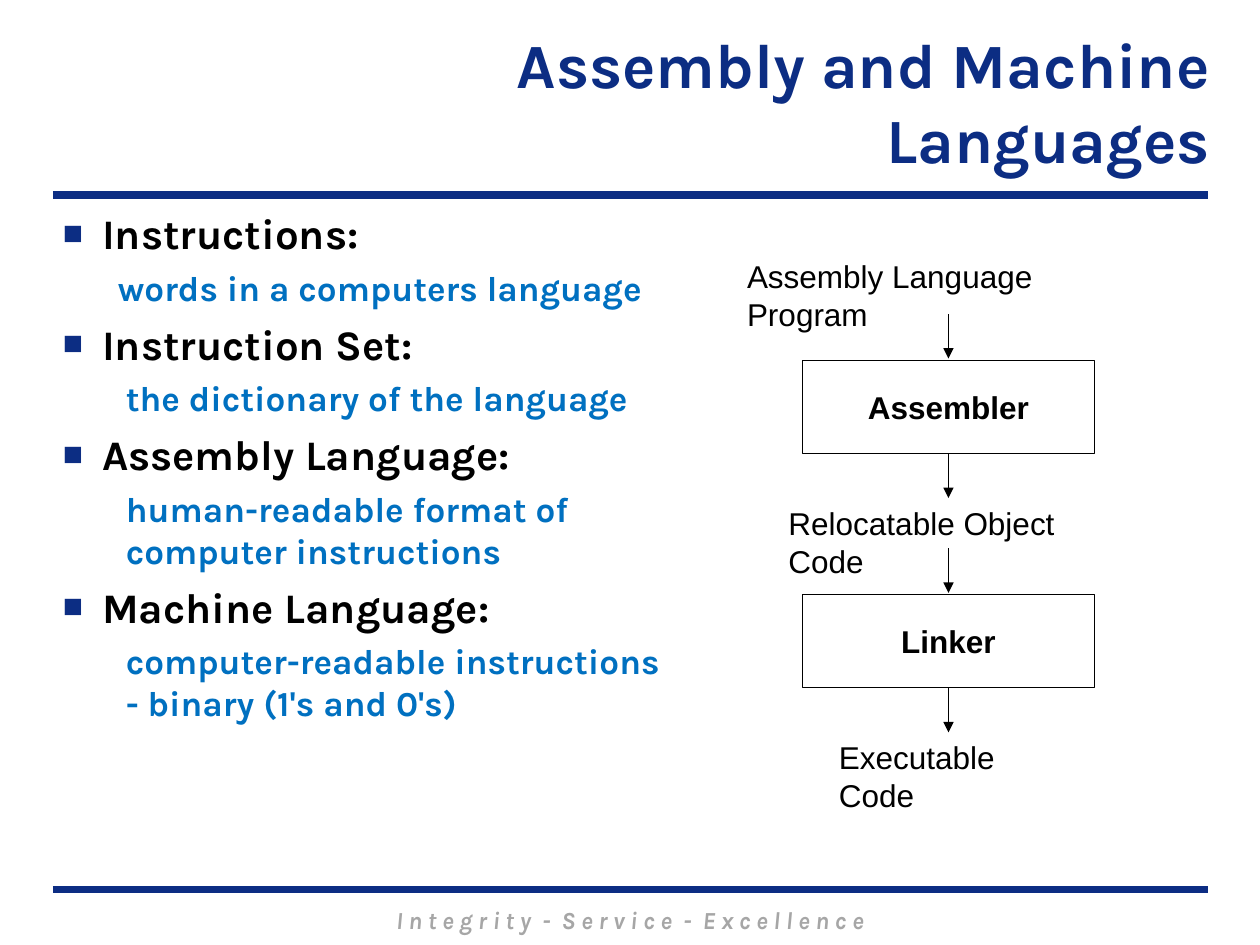
from dataclasses import dataclass

from lxml import etree
from pptx import Presentation
from pptx import util as u
from pptx.dml.color import RGBColor
from pptx.enum import shapes, text
from pptx.oxml.ns import qn


@dataclass(frozen=True)
class Theme:
    navy: str = "0C2D83"
    blue: str = "0070C0"
    grey: str = "A6A6A6"
    black: str = "000000"
    heading_font: str = "Karla"
    diagram_font: str = "Arial"
    title_size: float = 36
    term_size: float = 24
    meaning_size: float = 20
    label_size: float = 18
    footer_size: float = 14
    rule_width: float = 4.5
    thin_width: float = 0.75


THEME = Theme()

# Each term, its meaning and the indent of the meaning
DEFINITIONS = [
    ("Instructions:", "words in a computers language", 31.5),
    ("Instruction Set:", "the dictionary of the language", 36),
    ("Assembly Language:", "human-readable format of computer instructions", 36),
    ("Machine Language:", "computer-readable instructions - binary (1's and 0's)", 36),
]
TERM_INDENT = 22.5
LINE_HEIGHT = 1.17
SPACE_SHARE = 0.2

# Each diagram label: text, left, top, width
LABELS = [
    ("Assembly Language Program", 419.8, 143.3, 230.4),
    ("Relocatable Object Code", 443.5, 284.4, 196.6),
    ("Executable Code", 472.3, 418.3, 138.2),
]
STEPS = [("Assembler", 205.9), ("Linker", 339.8)]
CENTRE_X = 542
STEP_WIDTH, STEP_HEIGHT = 167, 53.3
ARROW_LENGTH = 25.4


def write(paragraph, words, font=THEME.heading_font, size=THEME.label_size,
          color=THEME.black, bold=True, italic=False, align=None):
    paragraph.alignment = align
    run = paragraph.add_run()
    run.text = words
    run.font.name = font
    run.font.size = u.Pt(size)
    run.font.bold = bold
    run.font.italic = italic
    run.font.color.rgb = RGBColor.from_string(color)


def add_frame(slide, left, top, width, height, anchor=text.MSO_ANCHOR.TOP):
    """Add a wrapping text box and return its text frame."""
    box = slide.shapes.add_textbox(u.Pt(left), u.Pt(top), u.Pt(width), u.Pt(height))
    box.text_frame.word_wrap = True
    box.text_frame.vertical_anchor = anchor
    return box.text_frame


def add_line(slide, start, end, color, width, arrow=False):
    line = slide.shapes.add_connector(
        shapes.MSO_CONNECTOR.STRAIGHT, *(u.Pt(value) for value in (*start, *end)))
    line.line.color.rgb = RGBColor.from_string(color)
    line.line.width = u.Pt(width)
    if arrow:
        etree.SubElement(line.line._get_or_add_ln(), qn("a:tailEnd"), type="triangle")
    etree.SubElement(line._element.spPr, qn("a:effectLst"))


def add_down_arrow(slide, top):
    add_line(slide, (CENTRE_X, top), (CENTRE_X, top + ARROW_LENGTH),
             THEME.black, THEME.thin_width, arrow=True)


def add_step(slide, name, top):
    """Add a process box with an arrow into it and one out of it."""
    add_down_arrow(slide, top - ARROW_LENGTH - 1)
    step = slide.shapes.add_shape(
        shapes.MSO_SHAPE.RECTANGLE, u.Pt(CENTRE_X - STEP_WIDTH / 2), u.Pt(top),
        u.Pt(STEP_WIDTH), u.Pt(STEP_HEIGHT))
    step.shadow.inherit = False
    step.fill.background()
    step.line.color.rgb = RGBColor.from_string(THEME.black)
    step.line.width = u.Pt(THEME.thin_width)
    step.text_frame.vertical_anchor = text.MSO_ANCHOR.MIDDLE
    write(step.text_frame.paragraphs[0], name, font=THEME.diagram_font,
          align=text.PP_ALIGN.CENTER)
    add_down_arrow(slide, top + STEP_HEIGHT)


def set_indent(paragraph, left, first_line=0):
    properties = paragraph._p.get_or_add_pPr()
    properties.set("marL", str(u.Pt(left)))
    properties.set("indent", str(u.Pt(first_line)))
    return properties


def add_square_bullet(paragraph):
    properties = set_indent(paragraph, TERM_INDENT, -TERM_INDENT)
    color = etree.SubElement(properties, qn("a:buClr"))
    etree.SubElement(color, qn("a:srgbClr"), val=THEME.navy)
    etree.SubElement(properties, qn("a:buSzPct"), val="80000")
    etree.SubElement(properties, qn("a:buFont"), typeface=THEME.diagram_font)
    etree.SubElement(properties, qn("a:buChar"), char="■")


def add_definitions(slide):
    frame = add_frame(slide, 28.8, 115.2, 364.3, 391.7)
    for index, (term, meaning, indent) in enumerate(DEFINITIONS):
        heading = frame.add_paragraph() if index else frame.paragraphs[0]
        heading.space_before = u.Pt(
            THEME.term_size * LINE_HEIGHT * SPACE_SHARE if index else 0)
        add_square_bullet(heading)
        write(heading, term, size=THEME.term_size)

        detail = frame.add_paragraph()
        detail.level = 1
        detail.space_before = u.Pt(THEME.meaning_size * LINE_HEIGHT * SPACE_SHARE)
        set_indent(detail, indent)
        write(detail, meaning, size=THEME.meaning_size, color=THEME.blue)


def main():
    presentation = Presentation()
    presentation.slide_width, presentation.slide_height = u.Pt(720), u.Pt(540)
    slide = presentation.slides.add_slide(presentation.slide_layouts[6])

    for y in (508.3, 111.6):
        add_line(slide, (30.2, y), (690.5, y), THEME.navy, THEME.rule_width)
    footer = add_frame(slide, 102.2, 513.4, 516.2, 24.5)
    write(footer.paragraphs[0],
          "I n t e g r i t y  -  S e r v i c e  -  E x c e l l e n c e",
          size=THEME.footer_size, color=THEME.grey, italic=True,
          align=text.PP_ALIGN.CENTER)
    title = add_frame(slide, 144, 14.4, 554.4, 86.4, text.MSO_ANCHOR.MIDDLE)
    write(title.paragraphs[0], "Assembly and Machine Languages",
          size=THEME.title_size, color=THEME.navy, align=text.PP_ALIGN.RIGHT)

    add_definitions(slide)
    for name, top in STEPS:
        add_step(slide, name, top)
    for words, left, top, width in LABELS:
        label = add_frame(slide, left, top, width, 28.8)
        write(label.paragraphs[0], words, font=THEME.diagram_font, bold=False)

    presentation.save("out.pptx")


if __name__ == "__main__":
    main()
